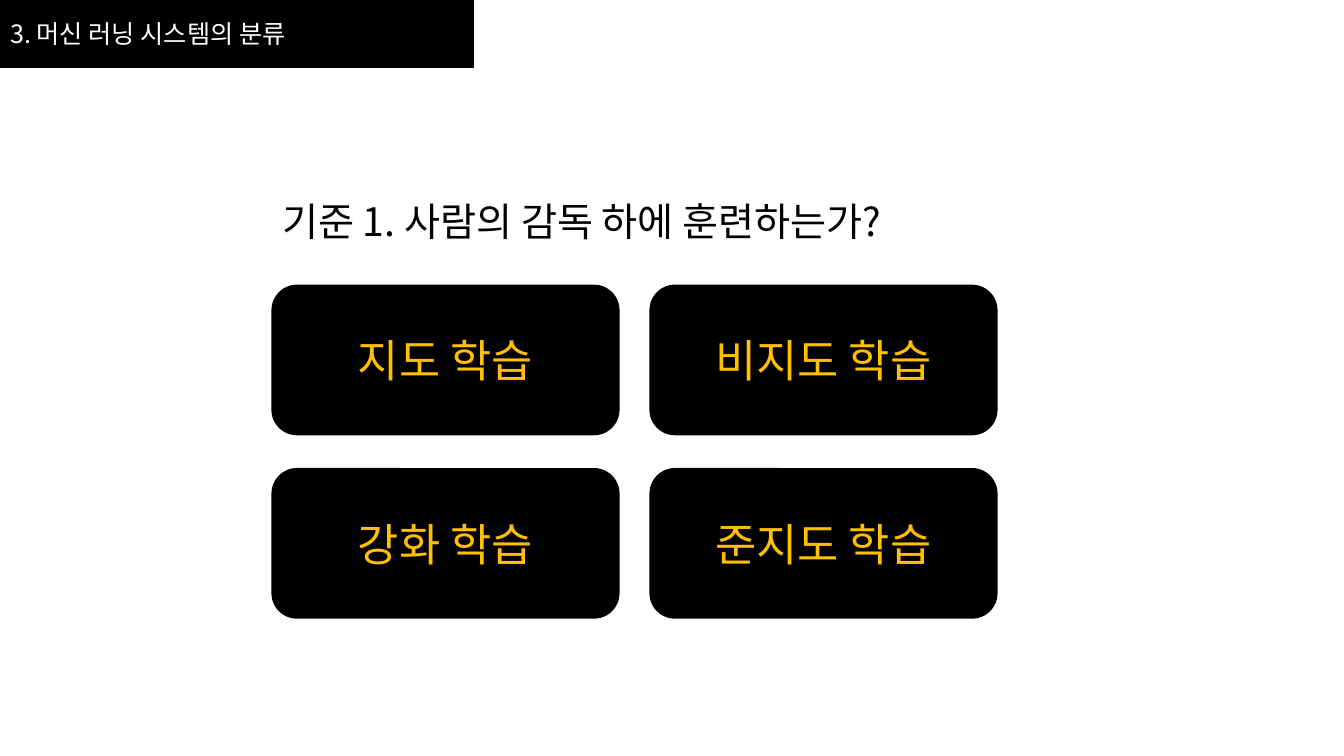
"""Build the slide that classifies machine learning systems by supervision."""
from lxml import etree
from pptx import Presentation
from pptx.dml.color import RGBColor
from pptx.enum import shapes, text
from pptx.oxml import ns
from pptx.util import Pt

FONT = "Noto Sans CJK KR"
COLORS = {"black": "000000", "white": "FFFFFF", "gold": "FFC000"}
METHODS = [["지도 학습", "비지도 학습"], ["강화 학습", "준지도 학습"]]
CARD_LEFT, CARD_TOP = 194.4, 203.8
CARD_WIDTH, CARD_HEIGHT = 247.7, 106.6
COLUMN_STEP, ROW_STEP = 270, 131


def color(name):
    return RGBColor.from_string(COLORS[name])


def place(box, left, top, width, height):
    box.left, box.top = Pt(left), Pt(top)
    box.width, box.height = Pt(width), Pt(height)


def paint_black(box):
    box.fill.solid()
    box.fill.fore_color.rgb = color("black")
    box.line.color.rgb = color("black")
    box.line.width = Pt(1)


def write(box, words, size, color_name, align=text.PP_ALIGN.LEFT,
          anchor=text.MSO_ANCHOR.MIDDLE):
    frame = box.text_frame
    frame.text = words
    frame.word_wrap = True
    frame.auto_size = text.MSO_AUTO_SIZE.NONE
    frame.vertical_anchor = anchor
    para = frame.paragraphs[0]
    para.alignment = align
    span = para.runs[0]
    span.font.size = Pt(size)
    span.font.name = FONT
    span.font.color.rgb = color(color_name)
    east_asian = etree.Element(ns.qn("a:ea"), typeface=FONT)
    span.font._element.find(ns.qn("a:latin")).addnext(east_asian)


def add_heading(page, words):
    box = page.shapes.title
    place(box, 0, 0, 338.4, 48.2)
    paint_black(box)
    write(box, words, 18, "white")


def add_question(page, words):
    box = page.shapes.add_textbox(Pt(CARD_LEFT), Pt(137.5), Pt(494.6), Pt(41))
    write(box, words, 28, "black", anchor=text.MSO_ANCHOR.TOP)


def add_card(page, words, column, row):
    box = page.shapes.add_shape(
        shapes.MSO_SHAPE.ROUNDED_RECTANGLE,
        Pt(CARD_LEFT + column * COLUMN_STEP), Pt(CARD_TOP + row * ROW_STEP),
        Pt(CARD_WIDTH), Pt(CARD_HEIGHT))
    box.shadow.inherit = False
    paint_black(box)
    write(box, words, 32, "gold", align=text.PP_ALIGN.CENTER)


def main():
    deck = Presentation()
    deck.slide_width, deck.slide_height = Pt(960), Pt(540)
    page = deck.slides.add_slide(deck.slide_layouts[5])
    add_heading(page, "3. 머신 러닝 시스템의 분류")
    add_question(page, "기준 1. 사람의 감독 하에 훈련하는가?")
    for row, methods in enumerate(METHODS):
        for column, method in enumerate(methods):
            add_card(page, method, column, row)
    deck.save("out.pptx")


main()
